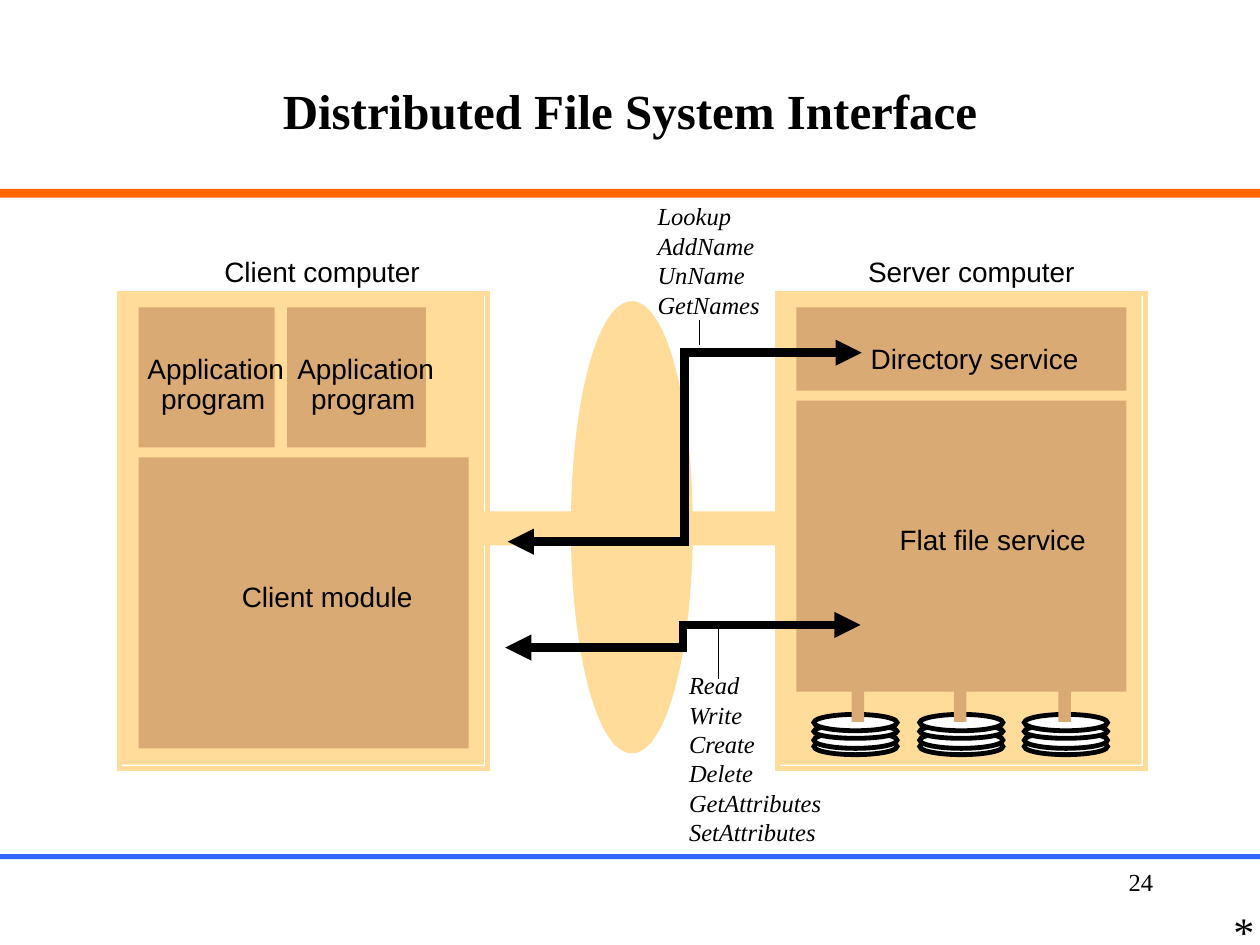
import pptx
import pptx.util
import pptx.dml.color
import pptx.enum.shapes
import pptx.enum.text
import pptx.oxml

RGBColor = pptx.dml.color.RGBColor
SHAPE = pptx.enum.shapes.MSO_SHAPE
CONNECTOR = pptx.enum.shapes.MSO_CONNECTOR
ALIGN = pptx.enum.text.PP_ALIGN
ANCHOR = pptx.enum.text.MSO_ANCHOR
AUTO_SIZE = pptx.enum.text.MSO_AUTO_SIZE

BLACK = RGBColor(0x00, 0x00, 0x00)
WHITE = RGBColor(0xFF, 0xFF, 0xFF)
ORANGE = RGBColor(0xFF, 0x66, 0x00)
BLUE = RGBColor(0x33, 0x66, 0xFF)
SAND = RGBColor(0xFF, 0xDC, 0x99)
TAN = RGBColor(0xD9, 0xAA, 0x73)

EMU_PER_PX = 9144
OUTLINE = 2.75
LABEL_SLACK = 20
SERIF = "Times New Roman"
SANS = "Arial"


def px(n):
    return pptx.util.Emu(n * EMU_PER_PX)


def append_child(parent, tag, **attributes):
    parent.append(parent.makeelement(pptx.oxml.ns.qn(tag), attributes))


class Canvas:
    def __init__(self, prs):
        self.slide = prs.slides.add_slide(prs.slide_layouts[6])

    def stroke(self, line, color, width):
        line.color.rgb = color
        line.width = pptx.util.Pt(width)
        ln = line._get_or_add_ln()
        append_child(ln, "a:miter", lim="800000")
        return ln

    def shape(self, x, y, w, h, fill=None, line=None, kind=SHAPE.RECTANGLE):
        sp = self.slide.shapes.add_shape(kind, px(x), px(y), px(w), px(h))
        sp.shadow.inherit = False
        if fill is None:
            sp.fill.background()
        else:
            sp.fill.solid()
            sp.fill.fore_color.rgb = fill
        if line is None:
            sp.line.fill.background()
        else:
            self.stroke(sp.line, line, OUTLINE)

    def text(self, x, y, w, h, text, size, font=SERIF, bold=False, italic=False,
             align=ALIGN.LEFT, anchor=ANCHOR.TOP, wrap=True, inset=True):
        tf = self.slide.shapes.add_textbox(px(x), px(y), px(w), px(h)).text_frame
        tf.word_wrap = wrap
        tf.auto_size = AUTO_SIZE.NONE if wrap else AUTO_SIZE.SHAPE_TO_FIT_TEXT
        tf.vertical_anchor = anchor
        if not inset:
            tf.margin_left = tf.margin_right = tf.margin_top = tf.margin_bottom = 0
        tf.text = text
        for p in tf.paragraphs:
            p.alignment = align
            p.font.name = font
            p.font.size = pptx.util.Pt(size)
            p.font.bold = bold
            p.font.italic = italic
            p.font.color.rgb = BLACK

    def label(self, x, y, w, text):
        self.text(x, y, w + LABEL_SLACK, 27, text, 16, font=SANS, inset=False)

    def operations(self, x, y, w, h, names):
        self.text(x, y, w, h, "\n".join(names), 14, italic=True, wrap=False)

    def line(self, x1, y1, x2, y2, width, kind=CONNECTOR.STRAIGHT, arrows=False):
        cx = self.slide.shapes.add_connector(kind, px(x1), px(y1), px(x2), px(y2))
        ln = self.stroke(cx.line, BLACK, width)
        if arrows:
            for tag in ("a:headEnd", "a:tailEnd"):
                append_child(ln, tag, type="triangle")
        append_child(cx._element.spPr, "a:effectLst")

    def computer(self, x):
        self.shape(x, 233, 289, 374, fill=SAND)
        self.shape(x, 233, 292, 377, line=SAND)

    def disk(self, x, stem_x):
        for y, h in ((586, 13), (581, 13), (575, 11), (567, 13)):
            self.shape(x, y, 66, h, WHITE, BLACK, SHAPE.OVAL)
        self.shape(stem_x, 520, 10, 53, fill=TAN)

    def application(self, x, w, text_x):
        self.shape(x, 244, w, 111, fill=TAN)
        self.label(text_x, 279, 109, "Application")
        self.label(text_x + 11, 303, 83, "program")


def main():
    prs = pptx.Presentation()
    prs.slide_width, prs.slide_height = px(1000), px(750)
    s = Canvas(prs)

    s.shape(0, 150, 1000, 7, fill=ORANGE)
    s.shape(0, 678, 1000, 4, fill=BLUE)
    s.text(717, 683, 208, 50, "24", 14, align=ALIGN.RIGHT)
    s.text(75, 25, 850, 125, "Distributed File System Interface", 28, bold=True,
           align=ALIGN.CENTER, anchor=ANCHOR.MIDDLE)

    s.computer(617)
    s.computer(95)
    s.label(178, 202, 155, "Client computer")
    s.label(689, 202, 164, "Server computer")

    s.shape(455, 241, 93, 355, SAND, SAND, SHAPE.OVAL)
    s.shape(377, 406, 250, 27, fill=SAND)

    s.shape(110, 363, 262, 231, fill=TAN)
    s.label(192, 460, 136, "Client module")
    s.application(110, 108, 117)
    s.application(228, 110, 236)

    s.shape(632, 318, 262, 231, fill=TAN)
    s.label(714, 415, 148, "Flat file service")
    s.shape(632, 244, 262, 66, fill=TAN)
    s.label(691, 271, 165, "Directory service")
    for x, stem_x in ((813, 840), (730, 757), (646, 676)):
        s.disk(x, stem_x)

    for x1, y1, x2, y2 in ((403, 430, 684, 280), (401, 514, 683, 496)):
        s.line(x1, y1, x2, y2, 5, CONNECTOR.ELBOW, arrows=True)
    s.operations(512, 155, 101, 104, ("Lookup", "AddName", "UnName", "GetNames"))
    s.operations(537, 527, 125, 150, ("Read", "Write", "Create", "Delete",
                                      "GetAttributes", "SetAttributes"))
    s.line(570, 539, 570, 495, 0.75)
    s.line(555, 254, 555, 274, 0.75)
    s.text(969, 714, 31, 50, "*", 24)

    prs.save("out.pptx")


if __name__ == "__main__":
    main()
